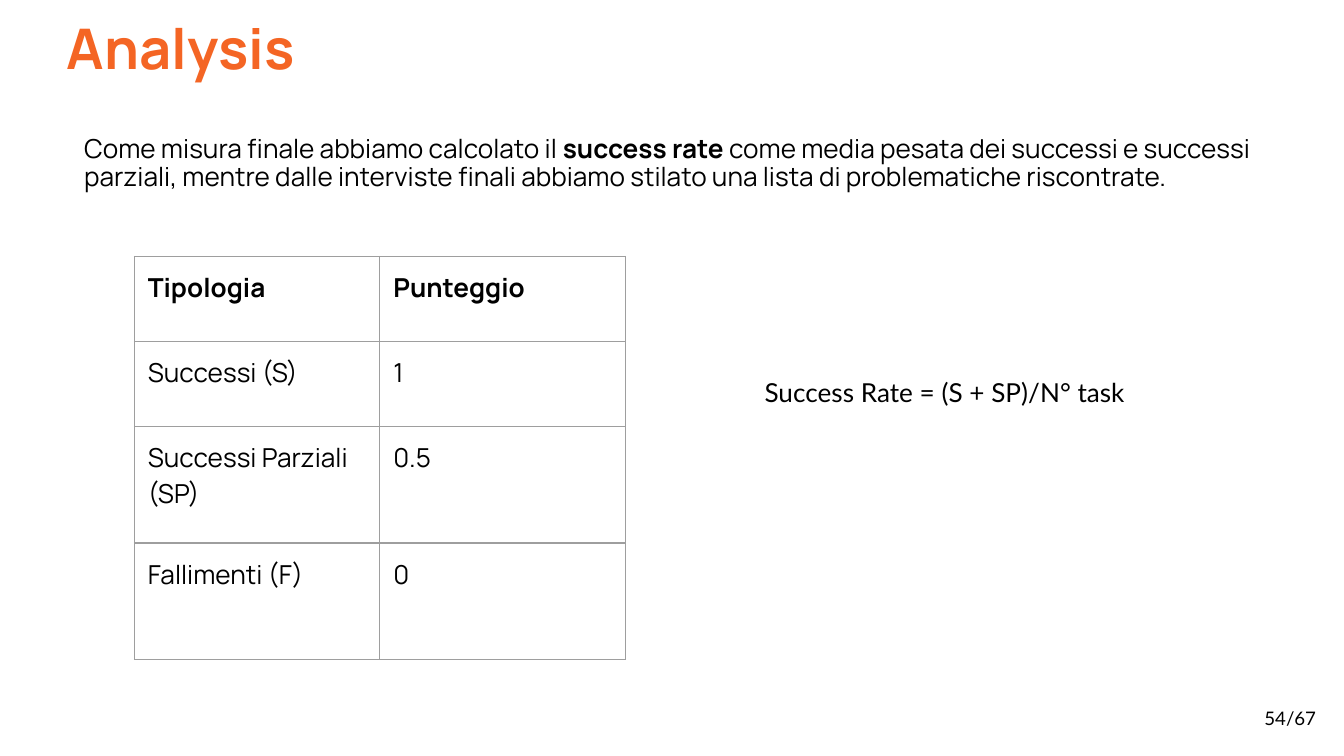
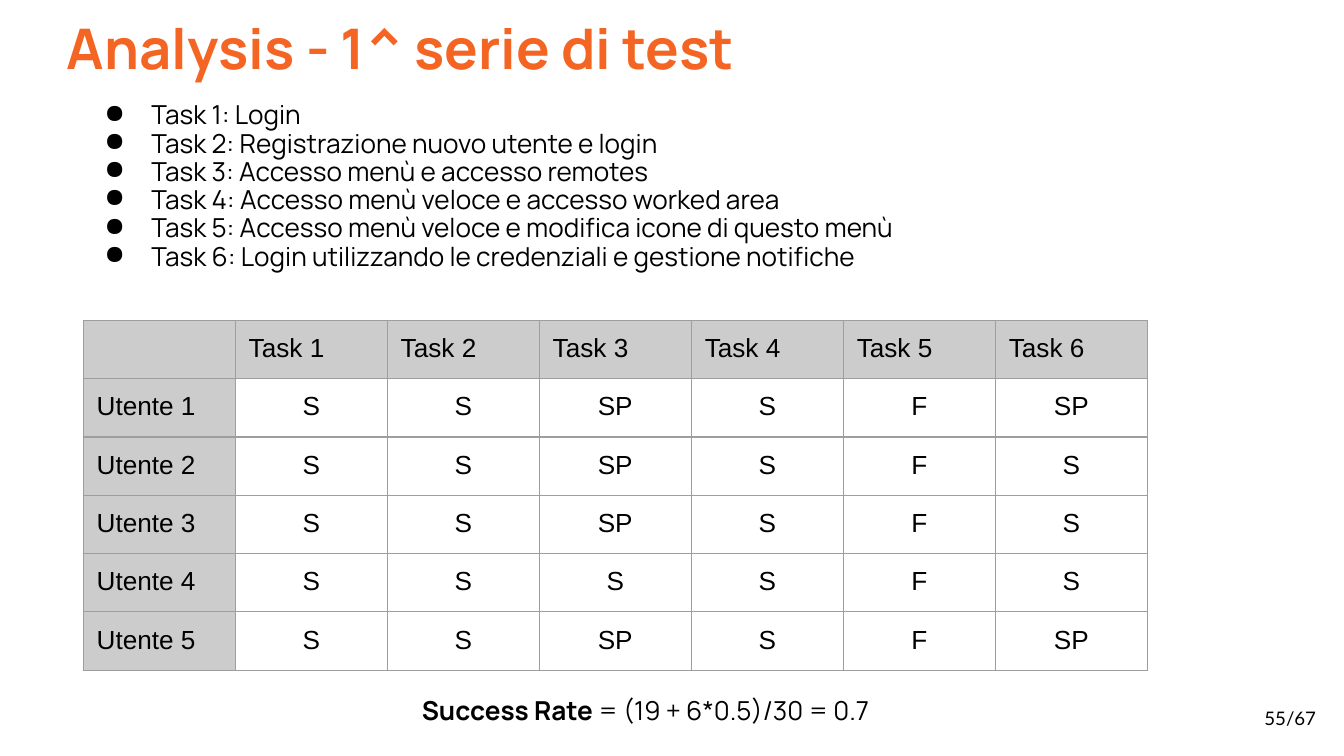
from lxml import etree
from pptx import Presentation
from pptx.dml.color import RGBColor
from pptx.enum.text import MSO_ANCHOR, PP_ALIGN
from pptx.oxml.ns import qn
from pptx.util import Pt

LEFT, MID, RIGHT = PP_ALIGN.LEFT, PP_ALIGN.CENTER, PP_ALIGN.RIGHT
TOP, CENTRE = MSO_ANCHOR.TOP, MSO_ANCHOR.MIDDLE
ORANGE, BLACK, GREY, RULE = "F46524", "000000", "CCCCCC", "9E9E9E"
HEAD, NOTE, GRID = "Manrope", "Lato", "Arial"
PAD = Pt(7.2)
PAGES = 67

SCORES = [
    ["Tipologia", "Punteggio"],
    ["Successi (S)", "1"],
    ["Successi Parziali (SP)", "0.5"],
    ["Fallimenti (F)", "0"],
]
TASKS = [
    "Login",
    "Registrazione nuovo utente e login",
    "Accesso menù e accesso remotes",
    "Accesso menù veloce e accesso worked area",
    "Accesso menù veloce e modifica icone di questo menù",
    "Login utilizzando le credenziali e gestione notifiche",
]
MARKS = ["S S SP S F SP", "S S SP S F S", "S S SP S F S", "S S S S F S", "S S SP S F SP"]


def paint(value):
    """Turn a hex string into a colour."""
    return RGBColor.from_string(value)


def style(para, face, size, colour=BLACK, bold=None, align=LEFT):
    """Set the font and alignment of a paragraph."""
    para.alignment = align
    font = para.font
    font.name, font.size, font.bold = face, Pt(size), bold
    font.color.rgb = paint(colour)


def bullet(para):
    """Give a paragraph a hanging round bullet."""
    props = para._p.get_or_add_pPr()
    props.set("marL", str(Pt(36)))
    props.set("indent", str(-Pt(25.2)))
    tint = etree.SubElement(props, qn("a:buClr"))
    etree.SubElement(tint, qn("a:srgbClr")).set("val", BLACK)
    etree.SubElement(props, qn("a:buChar")).set("char", "●")


def write(slide, box, paras, face=HEAD, size=14, colour=BLACK, bold=None,
          align=LEFT, anchor=TOP, lead=0.9, dots=False):
    """Place a text box whose paragraphs are lists of (text, bold) runs."""
    frame = slide.shapes.add_textbox(*map(Pt, box)).text_frame
    frame.word_wrap = True
    frame.vertical_anchor = anchor
    frame.margin_left = frame.margin_right = PAD
    frame.margin_top = frame.margin_bottom = PAD
    for i, runs in enumerate(paras):
        para = frame.add_paragraph() if i else frame.paragraphs[0]
        para.line_spacing = lead
        if dots:
            bullet(para)
        style(para, face, size, colour, bold, align)
        for text, heavy in runs:
            run = para.add_run()
            run.text = text
            if heavy:
                run.font.bold = True


def border(cell):
    """Draw a thin rule on all sides of a cell."""
    props = cell._tc.get_or_add_tcPr()
    for side in "LRTB":
        line = etree.SubElement(props, qn(f"a:ln{side}"), w=str(Pt(0.75)))
        fill = etree.SubElement(line, qn("a:solidFill"))
        etree.SubElement(fill, qn("a:srgbClr")).set("val", RULE)


def table(slide, box, rows, highs, look):
    """Place a ruled table; look gives face, bold, align and fill of a cell."""
    count = len(rows[0])
    grid = slide.shapes.add_table(len(rows), count, *map(Pt, box)).table
    grid.first_row = grid.horz_banding = False
    for col in grid.columns:
        col.width = Pt(box[2] / count)
    for r, (row, high) in enumerate(zip(rows, highs)):
        grid.rows[r].height = Pt(high)
        for c, text in enumerate(row):
            cell = grid.cell(r, c)
            cell.margin_left = cell.margin_right = PAD
            cell.margin_top = cell.margin_bottom = PAD
            face, bold, align, fill = look(r, c)
            border(cell)
            if fill:
                cell.fill.solid()
                cell.fill.fore_color.rgb = paint(fill)
            else:
                cell.fill.background()
            cell.text = text
            style(cell.text_frame.paragraphs[0], face, 14, BLACK, bold, align)


def base(deck, title, page):
    """Add a slide with its title and page number."""
    slide = deck.slides.add_slide(deck.slide_layouts[6])
    write(slide, (28.8, 0, 662.4, 50.4), [[(title, True)]], size=30,
          colour=ORANGE, bold=True, lead=1)
    write(slide, (668.9, 369.4, 43.2, 31), [[(f"{page}/{PAGES}", False)]],
          face=NOTE, size=10, align=RIGHT, anchor=CENTRE, lead=1)
    return slide


def score(deck):
    """Build the slide on how the success rate is measured."""
    slide = base(deck, "Analysis", 54)
    write(slide, (38, 65.5, 653, 48), [[
        ("Come misura finale abbiamo calcolato il ", False),
        ("success rate", True),
        (" come media pesata dei successi e successi parziali, mentre dalle "
         "interviste finali abbiamo stilato una lista di problematiche "
         "riscontrate.", False),
    ]])
    highs = [45.5, 45.5, 62.5, 62.5]
    table(slide, (72, 137.4, 263, sum(highs)), SCORES, highs,
          lambda r, c: (HEAD, r == 0, LEFT, None))
    write(slide, (402.5, 194.4, 237, 31.7),
          [[("Success Rate = (S + SP)/N° task", False)]], face=NOTE, lead=1)


def tests(deck):
    """Build the slide with the results of the first tests."""
    slide = base(deck, "Analysis - 1^ serie di test", 55)
    write(slide, (38, 47.6, 584, 116.6),
          [[(f"Task {i}: {text}", False)] for i, text in enumerate(TASKS, 1)],
          dots=True)
    rows = [[""] + [f"Task {i}" for i in range(1, len(TASKS) + 1)]]
    rows += [[f"Utente {i}"] + line.split() for i, line in enumerate(MARKS, 1)]
    highs = [31.2] * len(rows)

    def look(r, c):
        """Shade the heads and centre the marks."""
        edge = r == 0 or c == 0
        return GRID, False, LEFT if edge else MID, GREY if edge else None

    table(slide, (44.6, 171.6, 570.2, sum(highs)), rows, highs, look)
    write(slide, (218.9, 366.5, 282.2, 31.7),
          [[("Success Rate", True), (" = (19 + 6*0.5)/30 = 0.7", False)]])


def main():
    """Build and save the deck."""
    deck = Presentation()
    deck.slide_width, deck.slide_height = Pt(720), Pt(405)
    score(deck)
    tests(deck)
    deck.save("out.pptx")


if __name__ == "__main__":
    main()
